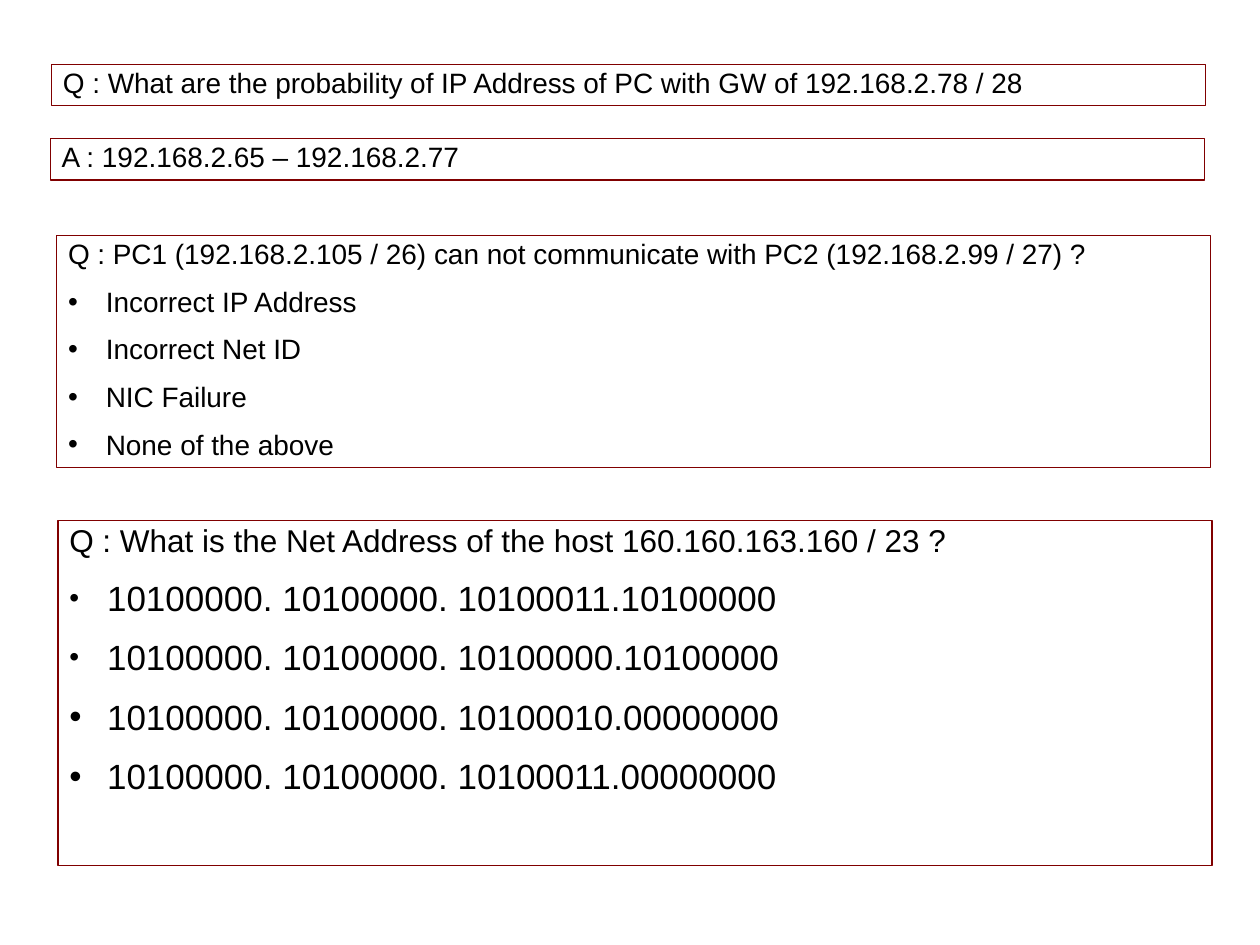
from lxml.etree import SubElement
from pptx import Presentation
from pptx.dml.color import RGBColor
from pptx.enum.shapes import MSO_SHAPE as Shape
from pptx.enum.text import MSO_ANCHOR as Anchor, PP_ALIGN as Align
from pptx.oxml.ns import qn
from pptx.util import Inches, Pt

MAROON = RGBColor(0x80, 0x00, 0x00)
BLACK = RGBColor(0x00, 0x00, 0x00)

deck = Presentation()
deck.slide_width = Inches(10)
deck.slide_height = Inches(7.5)
page = deck.slides.add_slide(deck.slide_layouts[6])
column = deck.slide_width / 100
row = deck.slide_height / 75
indent = int(column * 3)


def add_bullet(para, percent):
    properties = para._p.get_or_add_pPr()
    properties.set("marL", str(indent))
    properties.set("indent", str(-indent))
    color = SubElement(properties, qn("a:buClr"))
    SubElement(color, qn("a:srgbClr"), val=str(BLACK))
    SubElement(properties, qn("a:buSzPct"), val=str(percent * 1000))
    SubElement(properties, qn("a:buFont"), typeface="Arial")
    SubElement(properties, qn("a:buChar"), char="•")


cards = [
    (4.1, 5.1, 3.3, 16, 16,
     "Q : What are the probability of IP Address of PC with GW of 192.168.2.78 / 28", []),
    (4.5, 18.7, 18.4, 16, 16,
     "Q : PC1 (192.168.2.105 / 26) can not communicate with PC2 (192.168.2.99 / 27) ?",
     [("Incorrect IP Address", 100), ("Incorrect Net ID", 100),
      ("NIC Failure", 100), ("None of the above", 100)]),
    (4, 11, 3.3, 16, 16, "A : 192.168.2.65 – 192.168.2.77", []),
    (4.6, 41.3, 27.4, 18, 20,
     "Q : What is the Net Address of the host 160.160.163.160 / 23 ?",
     [("10100000. 10100000. 10100011.10100000", 80),
      ("10100000. 10100000. 10100000.10100000", 80),
      ("10100000. 10100000. 10100010.00000000", 100),
      ("10100000. 10100000. 10100011.00000000", 100)]),
]

for left, top, height, heading_size, option_size, heading, options in cards:
    box = page.shapes.add_shape(
        Shape.RECTANGLE, int(left * column), int(top * row),
        int(91.6 * column), int(height * row))
    box.shadow.inherit = False
    box.fill.background()
    box.line.color.rgb = MAROON
    box.line.width = Pt(0.75)
    frame = box.text_frame
    frame.word_wrap = True
    frame.vertical_anchor = Anchor.TOP
    frame.margin_left = frame.margin_right = int(0.9 * column)
    frame.margin_top = frame.margin_bottom = int(0.4 * row)

    for index, (text, percent) in enumerate([(heading, None)] + options):
        para = frame.paragraphs[0] if index == 0 else frame.add_paragraph()
        size = option_size if index else heading_size
        if index:
            add_bullet(para, percent)
            para.space_before = Pt(size * 0.62)
        para.text = text
        para.alignment = Align.LEFT
        para.line_spacing = 0.9
        para.font.name = "Arial"
        para.font.size = Pt(size)
        para.font.color.rgb = BLACK

deck.save("out.pptx")
